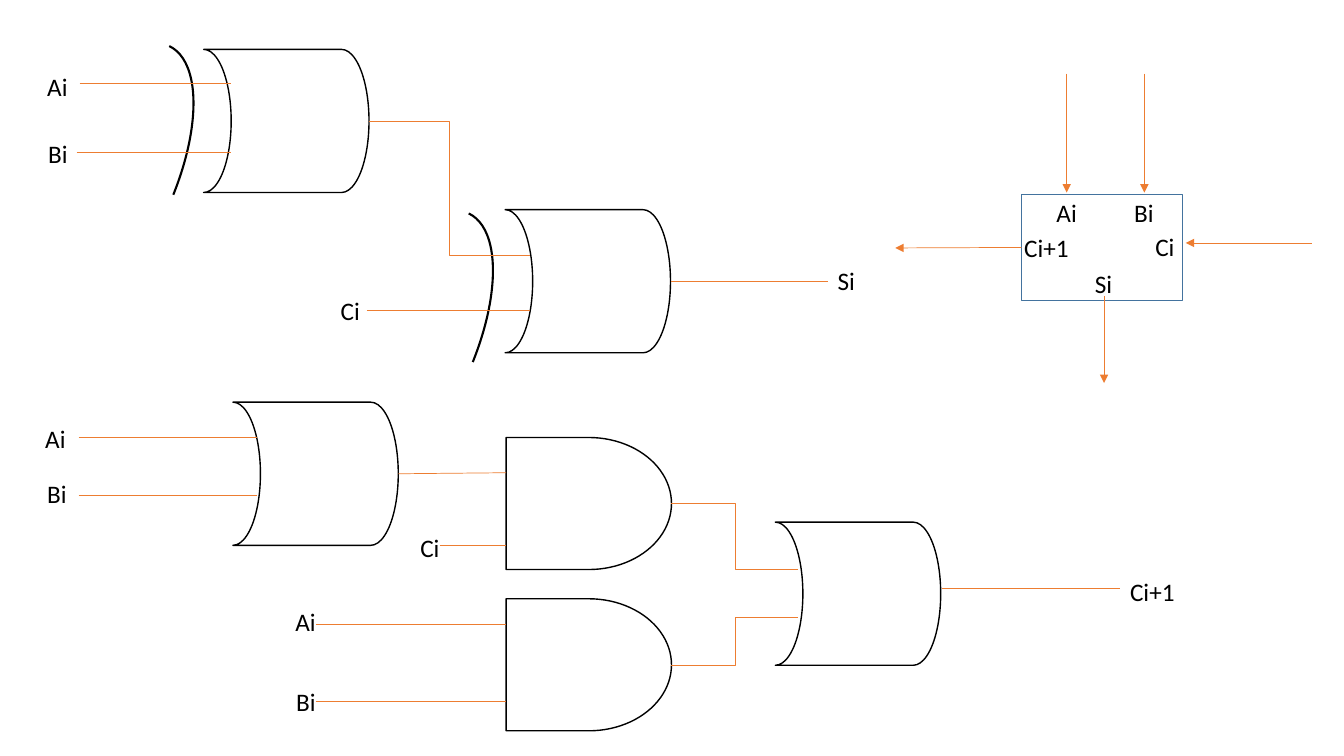
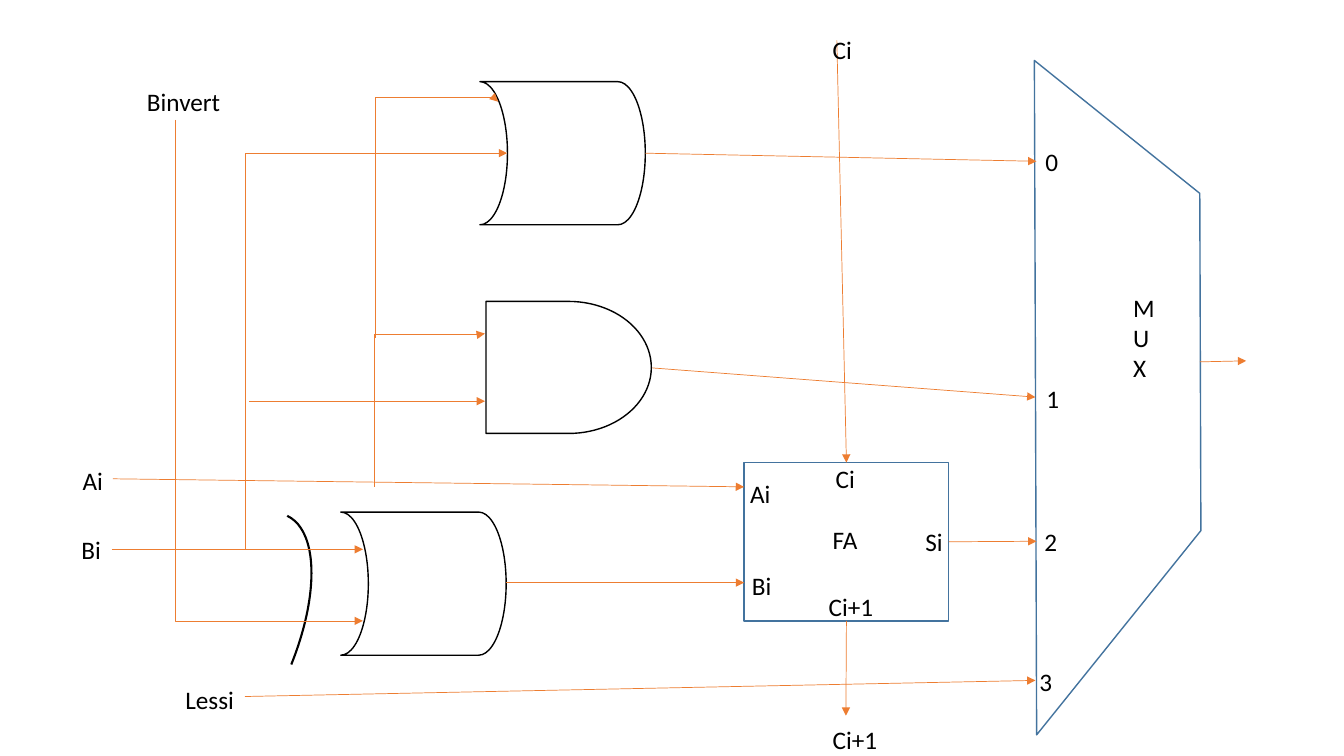
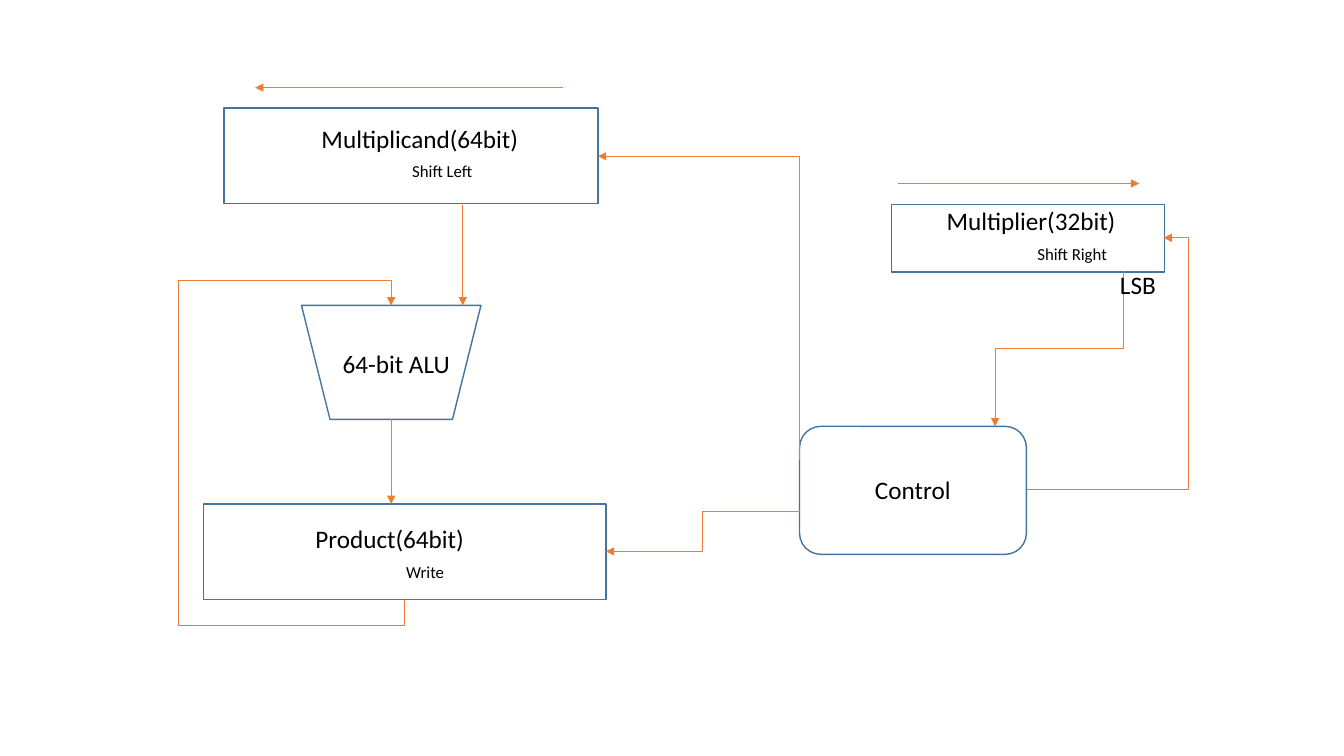
from pptx import Presentation
from pptx.dml.color import RGBColor
from pptx.enum.shapes import MSO_CONNECTOR as CXN, MSO_SHAPE as SHP
from pptx.enum.text import MSO_AUTO_SIZE as FIT
from pptx.oxml.ns import qn
from pptx.oxml.xmlchemy import OxmlElement
from pptx.util import Inches, Pt

FONT = "Calibri"
BLACK, WHITE, BLUE, ORANGE = "000000", "FFFFFF", "43739E", "ED7D31"
WIDTHS = {"Ai": 0.41, "Bi": 0.4, "Ci": 0.39, "Si": 0.38, "Ci+1": 0.65,
          "FA": 0.45, "LSB": 0.56, "Lessi": 0.69, "Binvert": 0.94,
          "Control": 0.96, "64-bit ALU": 1.28, "M\nU\nX": 0.42}


def rgb(color):
    """Turn a hex string into a colour."""
    return RGBColor.from_string(color)


def shape(s, kind, box, line=BLUE, width=1, fill=WHITE, rot=0):
    """Add an outlined preset shape."""
    sp = s.shapes.add_shape(kind, *map(Inches, box))
    sp.shadow.inherit = False
    sp.rotation = rot
    sp.line.color.rgb = rgb(line)
    sp.line.width = Pt(width)
    if fill:
        sp.fill.solid()
        sp.fill.fore_color.rgb = rgb(fill)
    else:
        sp.fill.background()
    return sp


def or_gate(s, x, y):
    """Add the body of an OR gate."""
    shape(s, SHP.FLOWCHART_STORED_DATA, (x, y, 1.64, 1.42), BLACK, fill=None, rot=180)


def and_gate(s, x, y):
    """Add an AND gate."""
    shape(s, SHP.FLOWCHART_DELAY, (x, y, 1.64, 1.31), BLACK)


def xor_gate(s, x, y, arc_x, arc_y):
    """Add an OR gate body with the extra input arc."""
    arc = shape(s, SHP.ARC, (arc_x, arc_y, 1.35, 3.05), BLACK, 1.5, None, 25.4)
    arc.adjustments[0] = 162
    arc.adjustments[1] = 205.533
    or_gate(s, x, y)


def style_wire(cxn, arrow):
    """Give a connector its colour, width and arrowhead."""
    cxn.line.color.rgb = rgb(ORANGE)
    cxn.line.width = Pt(0.5)
    sppr = cxn._element.spPr
    if arrow:
        tail = OxmlElement("a:tailEnd")
        tail.set("type", "triangle")
        sppr.find(qn("a:ln")).append(tail)
    sppr.append(OxmlElement("a:effectLst"))


def wire(s, x1, y1, x2, y2, arrow=True):
    """Add a straight connector."""
    cxn = s.shapes.add_connector(CXN.STRAIGHT, *map(Inches, (x1, y1, x2, y2)))
    style_wire(cxn, arrow)
    return cxn


def elbow(s, *points, arrow=True):
    """Add a bent connector that follows right-angled points."""
    start, end = points[0], points[-1]
    legs = len(points) - 1
    vertical = start[0] == points[1][0]
    dx, dy = end[0] - start[0], end[1] - start[1]
    w, h = (abs(dy), abs(dx)) if vertical else (abs(dx), abs(dy))
    x = (start[0] + end[0] - w) / 2
    y = (start[1] + end[1] - h) / 2
    cxn = s.shapes.add_connector(CXN.ELBOW, *map(Inches, (x, y, x + w, y + h)))
    sppr = cxn._element.spPr
    xfrm, geom = sppr.find(qn("a:xfrm")), sppr.find(qn("a:prstGeom"))
    flip_h, flip_v = (dy < 0, dx > 0) if vertical else (dx < 0, dy < 0)
    xfrm.set("rot", "5400000" if vertical else "0")
    xfrm.set("flipH", str(int(flip_h)))
    xfrm.set("flipV", str(int(flip_v)))
    geom.set("prst", f"bentConnector{legs}")
    for k in range(1, legs - 1):
        axis = (k - 1 + vertical) % 2
        ratio = (points[k][axis] - start[axis]) / (end[axis] - start[axis])
        gd = OxmlElement("a:gd")
        gd.set("name", f"adj{k}")
        gd.set("fmla", f"val {round(ratio * 100000)}")
        geom.find(qn("a:avLst")).append(gd)
    style_wire(cxn, arrow)


def text_box(s, x, y, w, h, text):
    """Add an unwrapped text box and return its frame."""
    tf = s.shapes.add_textbox(*map(Inches, (x, y, w, h))).text_frame
    tf.word_wrap = False
    tf.auto_size = FIT.SHAPE_TO_FIT_TEXT
    tf.text = text
    for p in tf.paragraphs:
        for r in p.runs:
            r.font.name = FONT
            r.font.size = Pt(18)
            r.font.color.rgb = rgb(BLACK)
    return tf


def labels(s, *items):
    """Add short labels given as text, left and top."""
    for text, x, y in items:
        text_box(s, x, y, WIDTHS[text], 1.01 if "\n" in text else 0.4, text)


def register(s, box, x, y, w, name, action):
    """Add a register box with its name and an indented action."""
    shape(s, SHP.RECTANGLE, box)
    p = text_box(s, x, y, w, 0.71, f"{name}\n{action}").paragraphs[1]
    p.space_before = Pt(5.7)
    p._p.get_or_add_pPr().set("marL", str(Inches(0.9)))
    p.runs[0].font.size = Pt(12)


def full_adder(s):
    """Draw the full adder gates and its block symbol."""
    adder = shape(s, SHP.RECTANGLE, (10.13, 1.93, 1.6, 1.05))
    for y in (4.34, 5.94):
        and_gate(s, 5.02, y)
    for x, y in ((2.31, 3.99), (7.69, 5.18)):
        or_gate(s, x, y)
    xor_gate(s, 2.02, 0.49, 0.35, 0.31)
    xor_gate(s, 5.01, 2.08, 3.32, 1.97)
    for ends in ((0.78, 4.34, 2.55, 4.34), (0.78, 4.91, 2.55, 4.91),
                 (9.34, 5.84, 11.11, 5.84), (6.66, 2.79, 8.21, 2.79),
                 (3.95, 4.7, 5.02, 4.69), (3.13, 6.19, 5.02, 6.19),
                 (3.13, 6.96, 5.02, 6.96), (4.36, 5.41, 5.02, 5.41),
                 (0.79, 0.83, 2.29, 0.83), (0.76, 1.51, 2.29, 1.51),
                 (3.64, 3.08, 5.26, 3.08)):
        wire(s, *ends, arrow=False)
    for x1, y1, x2, y2, mid in ((6.66, 6.6, 7.91, 6.13, 7.29),
                                (6.66, 4.99, 7.91, 5.65, 7.29),
                                (3.66, 1.2, 5.26, 2.53, 4.46)):
        elbow(s, (x1, y1), (mid, y1), (mid, y2), (x2, y2), arrow=False)
    for x in (10.58, 11.35):
        wire(s, x, 0.73, x, 1.91)
    wire(s, 13.01, 2.41, 11.76, 2.41)
    wire(s, 10.95, 2.94, 10.95, 3.8)
    wire(s, 10.13, 2.46, 8.88, 2.46).begin_connect(adder, 1)
    labels(s, ("Ai", 0.35, 4.15), ("Bi", 0.37, 4.7), ("Ai", 2.83, 5.97),
           ("Bi", 2.84, 6.76), ("Ci", 4.07, 5.23), ("Ci+1", 11.11, 5.67),
           ("Ai", 0.37, 0.66), ("Bi", 0.38, 1.32), ("Ci", 3.28, 2.88),
           ("Si", 8.21, 2.58), ("Ai", 10.38, 1.91), ("Bi", 11.15, 1.91),
           ("Ci+1", 10.06, 2.26), ("Ci", 11.36, 2.25), ("Si", 10.76, 2.61))


def alu_bit(s):
    """Draw the one-bit ALU with its multiplexer."""
    shape(s, SHP.DIAGONAL_STRIPE, (7.67, 1.84, 5.2, 4.21), rot=128.8)
    xor_gate(s, 3.38, 5.08, 1.52, 4.97)
    or_gate(s, 4.76, 0.81)
    and_gate(s, 4.82, 2.99)
    adder = shape(s, SHP.RECTANGLE, (7.38, 4.59, 2.03, 1.57))
    for ends in ((5.02, 5.78, 7.38, 5.78), (1.12, 4.75, 7.38, 4.83),
                 (1.11, 5.45, 3.6, 5.45), (2.47, 3.98, 4.81, 3.98),
                 (6.4, 1.52, 10.28, 1.6), (6.47, 3.65, 10.27, 3.94),
                 (11.9, 3.59, 12.36, 3.58), (2.43, 6.91, 10.27, 6.75)):
        wire(s, *ends)
    wire(s, 8.3, 0.4, 8.39, 4.59).end_connect(adder, 0)
    wire(s, 8.39, 6.16, 8.39, 7.1).begin_connect(adder, 2)
    wire(s, 9.41, 5.37, 10.28, 5.37).begin_connect(adder, 3)
    elbow(s, (1.74, 1.19), (1.74, 6.16), (3.6, 6.16))
    elbow(s, (2.43, 5.45), (2.43, 1.52), (5.03, 1.52))
    elbow(s, (3.71, 4.83), (3.71, 3.32), (4.81, 3.32), (4.81, 3.31))
    elbow(s, (3.72, 3.35), (3.72, 0.97), (4.94, 0.97), (4.94, 1.01))
    labels(s, ("Binvert", 1.36, 0.81), ("Ai", 0.72, 4.57), ("Bi", 0.71, 5.25),
           ("Lessi", 1.74, 6.74), ("Ci", 8.16, 0.29), ("Ci+1", 8.16, 7.14),
           ("FA", 8.16, 5.15), ("Si", 9.08, 5.17), ("Ci", 8.19, 4.55),
           ("Ai", 7.34, 4.7), ("Bi", 7.36, 5.61), ("Ci+1", 8.12, 5.82),
           ("M\nU\nX", 11.14, 2.85))
    inputs = ((10.27, 1.4), (10.28, 3.75), (10.26, 5.17), (10.21, 6.56))
    for i, (x, y) in enumerate(inputs):
        text_box(s, x, y, 0.33, 0.4, str(i))


def multiplier(s):
    """Draw the multiplier datapath and its control."""
    register(s, (2.22, 1.07, 3.71, 0.95), 3.09, 1.17, 2.18,
             "Multiplicand(64bit)", "Shift Left")
    register(s, (2.02, 5, 3.99, 0.95), 3.03, 5.14, 1.69,
             "Product(64bit)", "Write")
    register(s, (8.84, 2.03, 2.71, 0.67), 9.29, 1.99, 1.9,
             "Multiplier(32bit)", "Shift Right")
    shape(s, SHP.TRAPEZOID, (2.99, 3.03, 1.78, 1.13), rot=180)
    shape(s, SHP.ROUNDED_RECTANGLE, (7.93, 4.23, 2.25, 1.27))
    for ends in ((4.59, 2.03, 4.59, 3.03), (3.88, 4.16, 3.88, 5),
                 (5.58, 0.87, 2.53, 0.87), (8.91, 1.82, 11.3, 1.82)):
        wire(s, *ends)
    elbow(s, (10.19, 4.86), (11.79, 4.86), (11.79, 2.36), (11.54, 2.36))
    elbow(s, (11.14, 2.69), (11.14, 3.46), (9.87, 3.46), (9.87, 4.23))
    elbow(s, (7.93, 4.56), (7.93, 1.55), (5.93, 1.55))
    elbow(s, (7.93, 5.07), (6.97, 5.07), (6.97, 5.47), (6.01, 5.47))
    elbow(s, (4.01, 5.95), (4.01, 6.2), (1.77, 6.2),
          (1.77, 2.78), (3.88, 2.78), (3.88, 3.03))
    labels(s, ("LSB", 11.01, 2.62), ("Control", 8.58, 4.66),
           ("64-bit ALU", 3.3, 3.41))


def main():
    """Build and save the three slides."""
    prs = Presentation()
    prs.slide_width, prs.slide_height = Inches(13.33), Inches(7.5)
    for draw in (full_adder, alu_bit, multiplier):
        draw(prs.slides.add_slide(prs.slide_layouts[6]))
    prs.save("out.pptx")


if __name__ == "__main__":
    main()
